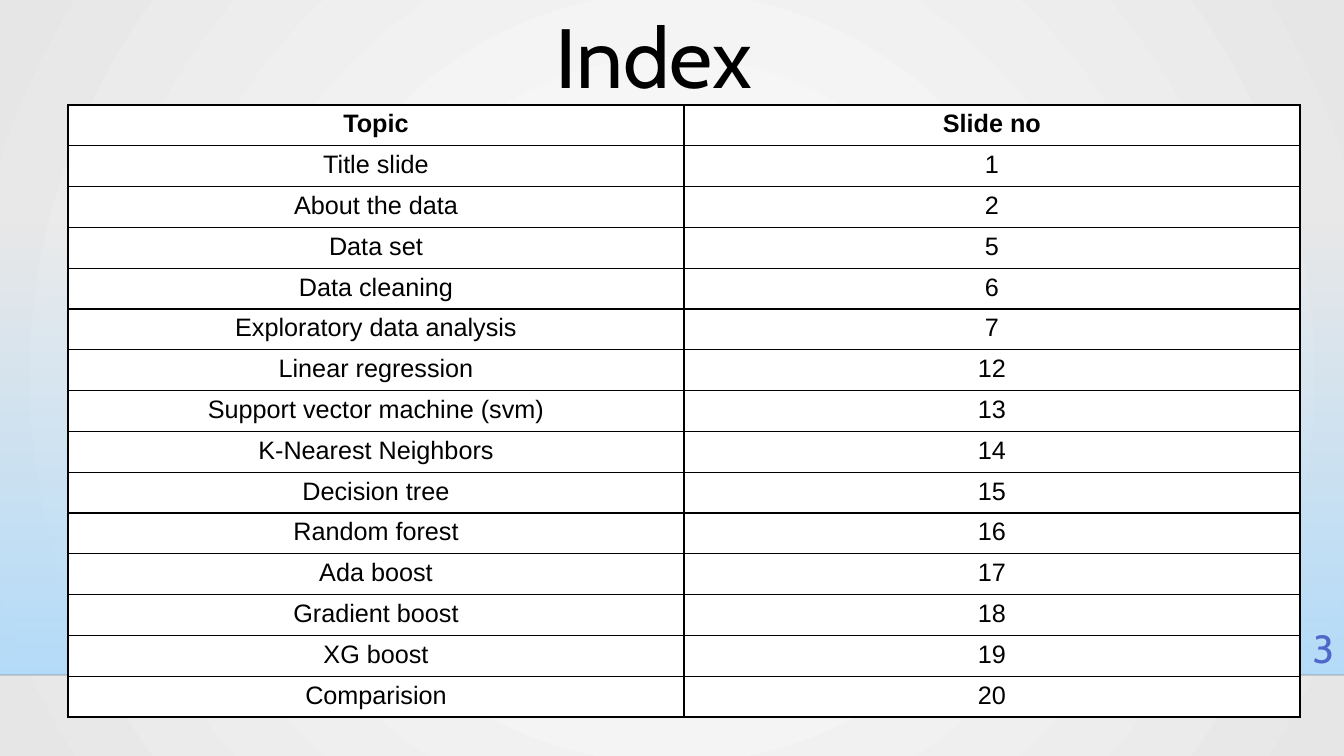
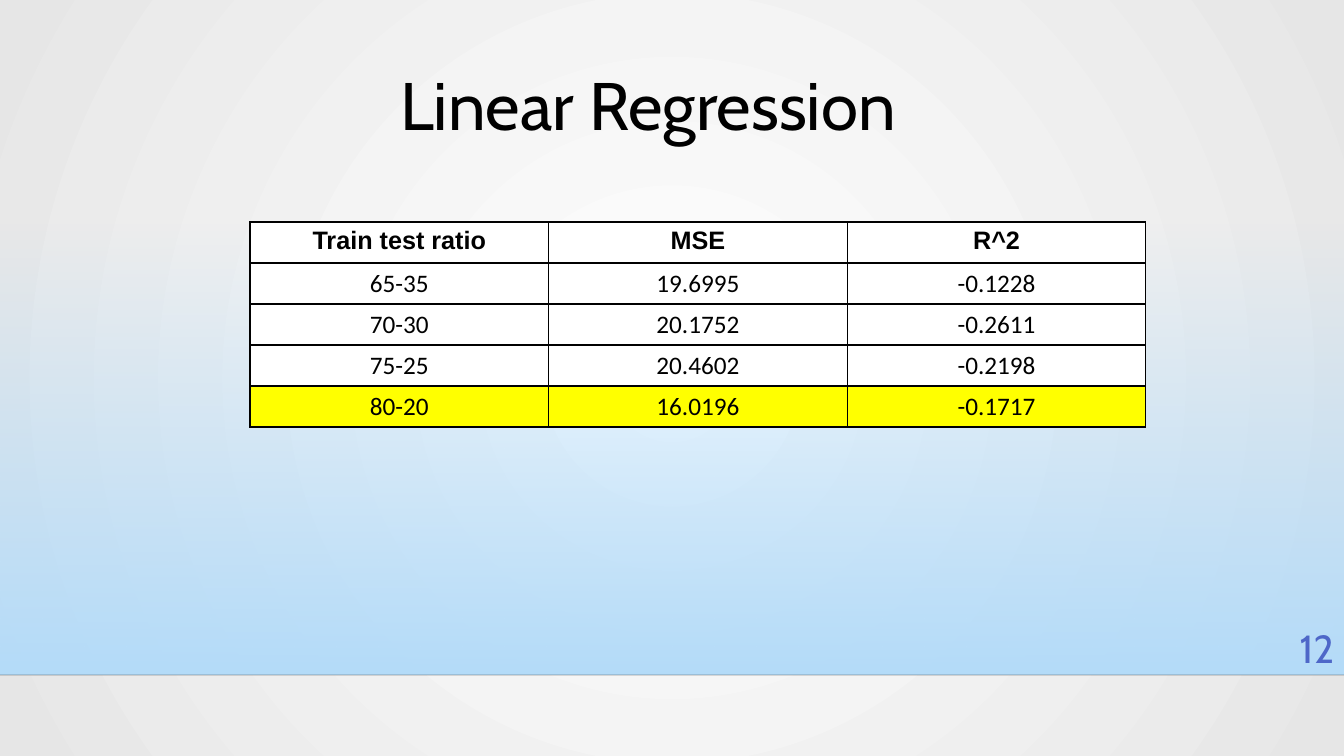
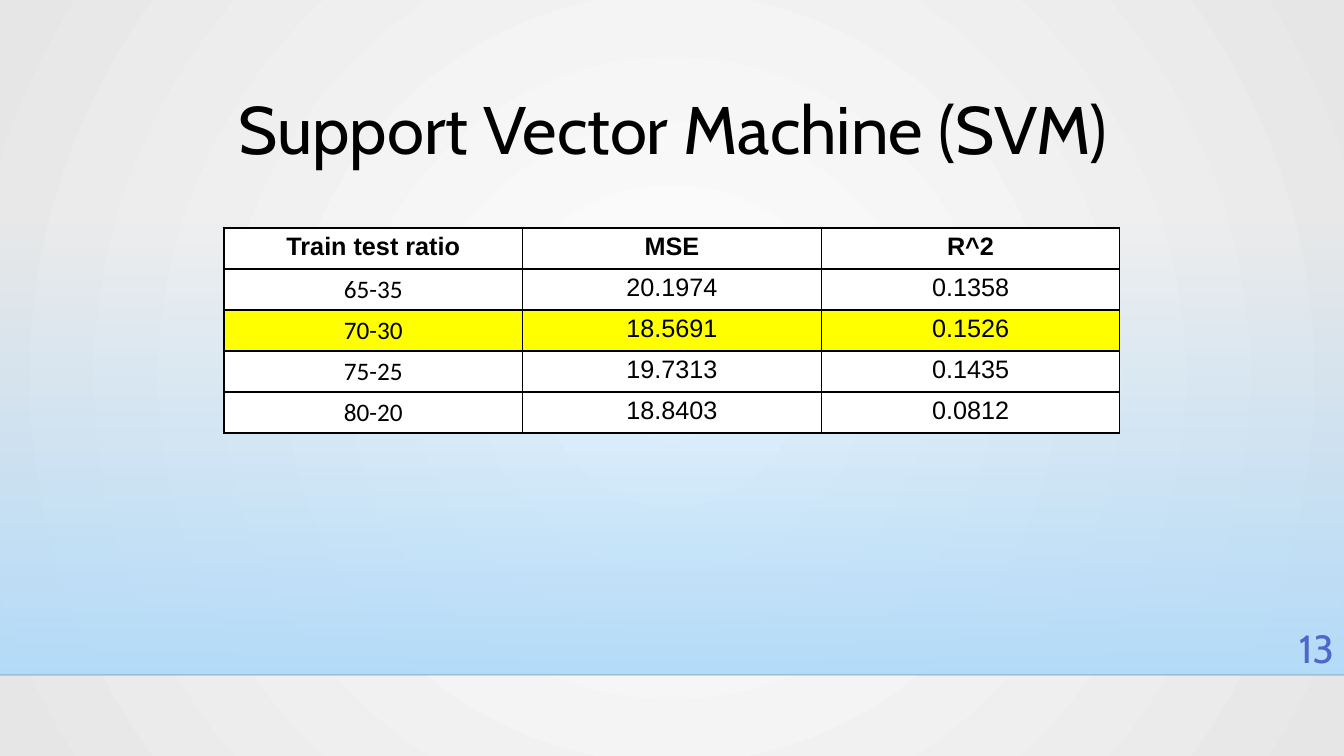
"""Build three slides: an index and two tables of regression results."""
from pptx import Presentation
from pptx.dml.color import RGBColor
from pptx.enum.shapes import MSO_CONNECTOR, MSO_SHAPE
from pptx.enum.text import PP_ALIGN
from pptx.oxml import parse_xml
from pptx.util import Emu, Pt

SLIDE_WIDTH, SLIDE_HEIGHT = 1344, 756
EMU_PER_PX = 12192000 / SLIDE_WIDTH
BAND_TOP, BAND_HEIGHT = 223, 452
ROW_HEIGHT = 41

BLACK = RGBColor(0x00, 0x00, 0x00)
WHITE = RGBColor(0xFF, 0xFF, 0xFF)
GRAY = RGBColor(0xE6, 0xE6, 0xE6)
SKY = RGBColor(0xB4, 0xDC, 0xFA)
INDIGO = RGBColor(0x4E, 0x67, 0xC8)
YELLOW = RGBColor(0xFF, 0xFF, 0x00)

TITLE_FONT, ARIAL, CALIBRI = "Cabin", "Arial", "Calibri"
NAMESPACE = 'xmlns:a="http://schemas.openxmlformats.org/drawingml/2006/main"'
RADIAL = ('<a:path path="circle">'
          '<a:fillToRect l="50000" t="50000" r="50000" b="50000"/></a:path>')
DOWNWARD = '<a:lin ang="5400000" scaled="0"/>'

INDEX_ROWS = [
    ("Topic", "Slide no"),
    ("Title slide", "1"),
    ("About the data", "2"),
    ("Data set", "5"),
    ("Data cleaning", "6"),
    ("Exploratory data analysis", "7"),
    ("Linear regression", "12"),
    ("Support vector machine (svm)", "13"),
    ("K-Nearest Neighbors", "14"),
    ("Decision tree", "15"),
    ("Random forest", "16"),
    ("Ada boost", "17"),
    ("Gradient boost", "18"),
    ("XG boost", "19"),
    ("Comparision", "20"),
]
RESULT_HEADER = ("Train test ratio", "MSE", "R^2")
LINEAR_ROWS = [
    RESULT_HEADER,
    ("65-35", "19.6995", "-0.1228"),
    ("70-30", "20.1752", "-0.2611"),
    ("75-25", "20.4602", "-0.2198"),
    ("80-20", "16.0196", "-0.1717"),
]
SVM_ROWS = [
    RESULT_HEADER,
    ("65-35", "20.1974", "0.1358"),
    ("70-30", "18.5691", "0.1526"),
    ("75-25", "19.7313", "0.1435"),
    ("80-20", "18.8403", "0.0812"),
]


def px(*lengths):
    """Turn pixel lengths into EMU."""
    return [Emu(round(length * EMU_PER_PX)) for length in lengths]


def replace_fill(solid_fill, first, last, first_alpha, direction):
    """Put a two-stop gradient in the place of a solid fill."""
    gradient = parse_xml(
        f'<a:gradFill {NAMESPACE} rotWithShape="1"><a:gsLst>'
        f'<a:gs pos="0"><a:srgbClr val="{first}">'
        f'<a:alpha val="{first_alpha}"/></a:srgbClr></a:gs>'
        f'<a:gs pos="100000"><a:srgbClr val="{last}"/></a:gs>'
        f'</a:gsLst>{direction}</a:gradFill>')
    solid_fill.getparent().replace(solid_fill, gradient)


def set_master_background(presentation):
    """Give the slide master a radial white-to-gray background."""
    background = presentation.slide_master.background
    background.fill.solid()
    background.fill.fore_color.rgb = WHITE
    solid_fill = presentation.slide_master.element.xpath(
        "p:cSld/p:bg/p:bgPr/a:solidFill")[0]
    replace_fill(solid_fill, WHITE, GRAY, 100000, RADIAL)


def add_band(slide):
    """Draw the fading blue band and the thin line below it."""
    band = slide.shapes.add_shape(
        MSO_SHAPE.RECTANGLE, *px(0, BAND_TOP, SLIDE_WIDTH, BAND_HEIGHT))
    band.shadow.inherit = False
    band.line.fill.background()
    band.fill.solid()
    replace_fill(band.element.spPr.xpath("a:solidFill")[0], SKY, SKY, 0, DOWNWARD)

    bottom = BAND_TOP + BAND_HEIGHT
    line = slide.shapes.add_connector(
        MSO_CONNECTOR.STRAIGHT, *px(0, bottom, SLIDE_WIDTH, bottom))
    line.line.width = Pt(1)
    line.line.color.rgb = BLACK
    properties = line.element.spPr
    color = properties.xpath("a:ln/a:solidFill/a:srgbClr")[0]
    color.append(parse_xml(f'<a:alpha {NAMESPACE} val="20000"/>'))
    properties.append(parse_xml(f'<a:effectLst {NAMESPACE}/>'))


def style_paragraph(paragraph, font_name, size, color, alignment, bold=False):
    """Set the font and alignment of a paragraph."""
    paragraph.alignment = alignment
    paragraph.font.name = font_name
    paragraph.font.size = Pt(size)
    paragraph.font.bold = bold
    paragraph.font.color.rgb = color


def add_text(slide, text, box, size, color, alignment):
    """Add one line of text in the title font."""
    frame = slide.shapes.add_textbox(*px(*box)).text_frame
    frame.word_wrap = True
    frame.text = text
    style_paragraph(frame.paragraphs[0], TITLE_FONT, size, color, alignment)


def add_cell_borders(cell):
    """Draw a thin black line on each side of a cell."""
    properties = cell._tc.get_or_add_tcPr()
    for position, side in enumerate("LRTB"):
        properties.insert(position, parse_xml(
            f'<a:ln{side} {NAMESPACE} w="12700"><a:solidFill>'
            f'<a:srgbClr val="{BLACK}"/></a:solidFill></a:ln{side}>'))


def add_table(slide, rows, left, top, width, height, body_fonts, highlight=None):
    """Add a bordered table with a bold header and an optional yellow row."""
    table = slide.shapes.add_table(
        len(rows), len(rows[0]), *px(left, top, width, height)).table
    for row_index, row in enumerate(rows):
        is_header = row_index == 0
        for column_index, text in enumerate(row):
            cell = table.cell(row_index, column_index)
            cell.text = text
            cell.fill.solid()
            cell.fill.fore_color.rgb = YELLOW if row_index == highlight else WHITE
            add_cell_borders(cell)
            font_name = ARIAL if is_header else body_fonts[column_index]
            style_paragraph(cell.text_frame.paragraphs[0], font_name, 18,
                            BLACK, PP_ALIGN.CENTER, is_header)


def add_slide(presentation, title, title_box, title_size, number):
    """Add a slide with the band, a title and a slide number."""
    slide = presentation.slides.add_slide(presentation.slide_layouts[6])
    add_band(slide)
    add_text(slide, title, title_box, title_size, BLACK, PP_ALIGN.CENTER)
    add_text(slide, number, (1255, 619, 89, 55), 28, INDIGO, PP_ALIGN.RIGHT)
    return slide


def add_result_table(slide, rows, left, top, body_fonts, highlight):
    """Add a table of errors for each train test ratio."""
    add_table(slide, rows, left, top, 896, ROW_HEIGHT * len(rows),
              body_fonts, highlight)


def main():
    """Build and save the presentation."""
    presentation = Presentation()
    presentation.slide_width, presentation.slide_height = px(SLIDE_WIDTH, SLIDE_HEIGHT)
    set_master_background(presentation)

    index = add_slide(presentation, "Index", (0, 0, 1308, 112), 60, "3")
    add_table(index, INDEX_ROWS, 68, 105, 1232, 612, (ARIAL, ARIAL))

    linear = add_slide(presentation, "Linear Regression", (0, 58, 1296, 92), 48, "12")
    add_result_table(linear, LINEAR_ROWS, 250, 222, (CALIBRI,) * 3, 4)

    svm = add_slide(presentation, "Support Vector Machine (SVM)",
                    (2, 82, 1342, 92), 48, "13")
    add_result_table(svm, SVM_ROWS, 224, 228, (CALIBRI, ARIAL, ARIAL), 2)

    presentation.save("out.pptx")


if __name__ == "__main__":
    main()
